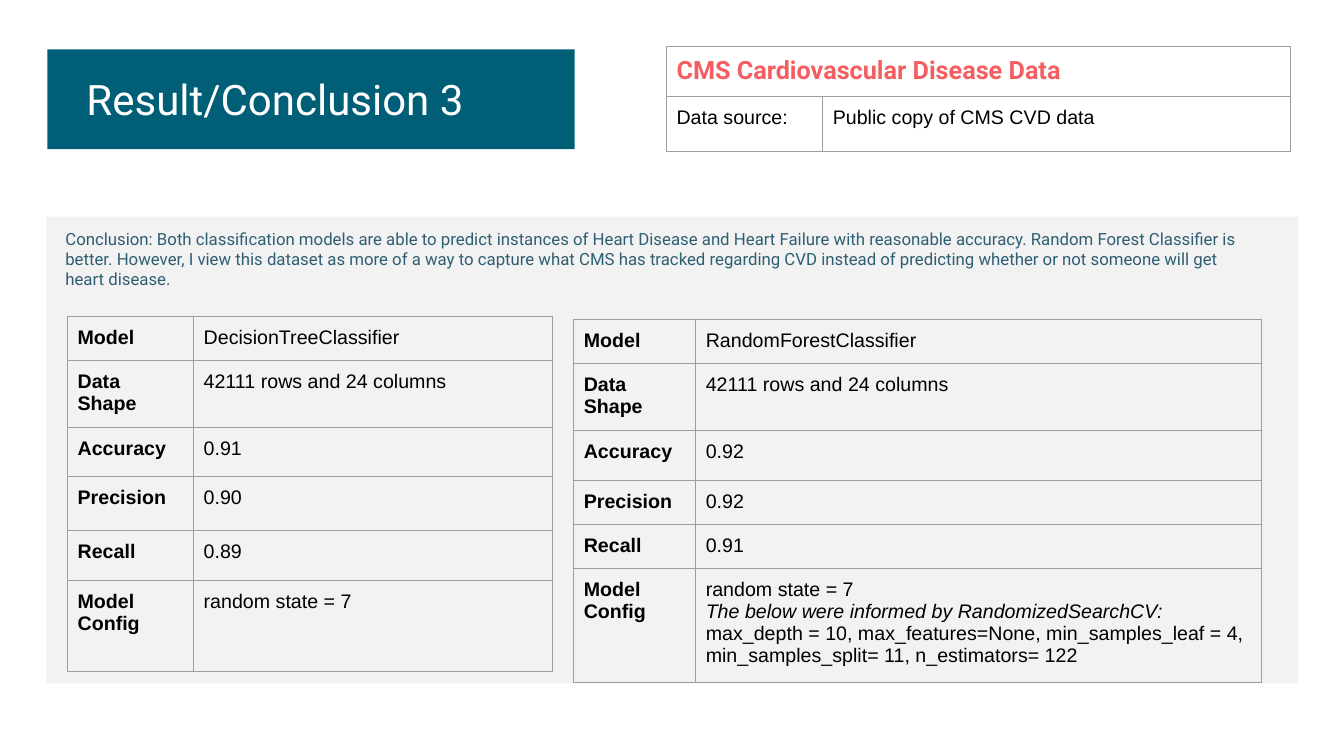
from dataclasses import dataclass

from lxml import etree
from pptx import Presentation
from pptx.dml.color import RGBColor
from pptx.enum.shapes import MSO_SHAPE
from pptx.enum.text import MSO_ANCHOR
from pptx.oxml.ns import qn
from pptx.util import Inches, Pt

RECT = MSO_SHAPE.RECTANGLE
TOP, MIDDLE = MSO_ANCHOR.TOP, MSO_ANCHOR.MIDDLE
COLORS = {
    "panel": "F2F2F2",
    "banner": "005E77",
    "white": "FFFFFF",
    "black": "000000",
    "coral": "F55E61",
    "slate": "2E5E73",
    "border": "9E9E9E",
}
PAD = Inches(0.1)
LINE = Pt(0.75)
LABELS = ["Model", "Data Shape", "Accuracy", "Precision", "Recall", "Model Config"]
SEARCH = "The below were informed by RandomizedSearchCV:"


@dataclass
class Style:
    size: float
    font: str
    color: str
    bold: bool = False


@dataclass
class Block:
    left: float
    top: float
    width: float
    height: float
    color: str


@dataclass
class Label:
    left: float
    top: float
    width: float
    height: float
    text: str
    style: Style
    anchor: MSO_ANCHOR = TOP


@dataclass
class Grid:
    left: float
    top: float
    cols: list[float]
    rows: list[float]
    cells: list[list[str]]
    styles: list[Style]
    title: Style | None = None


BODY = Style(14, "Arial", "black")
HEAD = Style(14, "Arial", "black", True)

BLOCKS = [
    Block(0.46, 2.15, 12.42, 4.63, "panel"),
    Block(0.47, 0.49, 5.23, 0.99, "banner"),
]
TEXTS = [
    Label(0.76, 0.87, 4.56, 0.22, "Result/Conclusion 3",
          Style(30, "Roboto", "white"), MIDDLE),
    Label(0.55, 2.17, 12.06, 0.81,
          "Conclusion: Both classification models are able to predict instances of "
          "Heart Disease and Heart Failure with reasonable accuracy. Random Forest "
          "Classifier is better. However, I view this dataset as more of a way to "
          "capture what CMS has tracked regarding CVD instead of predicting whether "
          "or not someone will get heart disease.",
          Style(12, "Roboto", "slate")),
]
TREE = ["DecisionTreeClassifier", "42111 rows and 24 columns",
        "0.91", "0.90", "0.89", "random state = 7"]
FOREST = ["RandomForestClassifier", "42111 rows and 24 columns",
          "0.92", "0.92", "0.91",
          f"random state = 7\n{SEARCH}\n"
          "max_depth = 10, max_features=None, min_samples_leaf = 4, "
          "min_samples_split= 11, n_estimators= 122"]
GRIDS = [
    Grid(0.67, 3.14, [1.25, 3.56], [0.42, 0.63, 0.49, 0.53, 0.5, 0.9],
         [list(pair) for pair in zip(LABELS, TREE)], [HEAD, BODY]),
    Grid(6.61, 0.46, [1.55, 4.64], [0.49, 0.54],
         [["CMS Cardiovascular Disease Data", ""],
          ["Data source:", "Public copy of CMS CVD data"]],
         [BODY, BODY], Style(18, "Roboto", "coral", True)),
    Grid(5.69, 3.17, [1.21, 5.61], [0.42, 0.63, 0.5, 0.43, 0.42, 1.11],
         [list(pair) for pair in zip(LABELS, FOREST)], [HEAD, BODY]),
]


def tint(name: str) -> RGBColor:
    return RGBColor.from_string(COLORS[name])


def write(frame, text: str, style: Style) -> None:
    frame.text = text
    for par in frame.paragraphs:
        for run in par.runs:
            font = run.font
            font.size, font.name = Pt(style.size), style.font
            font.bold, font.italic = style.bold, run.text == SEARCH
            font.color.rgb = tint(style.color)


def pad(box) -> None:
    """Give a cell or a text frame equal insets."""
    box.margin_left = box.margin_right = PAD
    box.margin_top = box.margin_bottom = PAD


def edge(cell) -> None:
    """Draw the four borders of a cell."""
    props = cell._tc.get_or_add_tcPr()
    for side in ("lnL", "lnR", "lnT", "lnB"):
        line = etree.SubElement(props, qn(f"a:{side}"), w=str(int(LINE)))
        fill = etree.SubElement(line, qn("a:solidFill"))
        etree.SubElement(fill, qn("a:srgbClr"), val=COLORS["border"])


def add_block(slide, block: Block) -> None:
    shape = slide.shapes.add_shape(
        RECT, Inches(block.left), Inches(block.top),
        Inches(block.width), Inches(block.height))
    shape.shadow.inherit = False
    shape.fill.solid()
    shape.fill.fore_color.rgb = tint(block.color)
    shape.line.fill.background()


def add_label(slide, label: Label) -> None:
    box = slide.shapes.add_textbox(
        Inches(label.left), Inches(label.top),
        Inches(label.width), Inches(label.height))
    frame = box.text_frame
    frame.word_wrap = True
    frame.vertical_anchor = label.anchor
    pad(frame)
    write(frame, label.text, label.style)


def add_grid(slide, grid: Grid) -> None:
    table = slide.shapes.add_table(
        len(grid.rows), len(grid.cols), Inches(grid.left), Inches(grid.top),
        Inches(sum(grid.cols)), Inches(sum(grid.rows))).table
    table.first_row = table.horz_banding = False
    for col, width in zip(table.columns, grid.cols):
        col.width = Inches(width)
    for row, height in zip(table.rows, grid.rows):
        row.height = Inches(height)
    for r, line in enumerate(grid.cells):
        for c, text in enumerate(line):
            cell = table.cell(r, c)
            pad(cell)
            edge(cell)
            cell.fill.background()
            style = grid.title if grid.title and r == 0 else grid.styles[c]
            write(cell.text_frame, text, style)
    if grid.title:
        table.cell(0, 0).merge(table.cell(0, len(grid.cols) - 1))


def main() -> None:
    deck = Presentation()
    deck.slide_width, deck.slide_height = Inches(13.33), Inches(7.5)
    slide = deck.slides.add_slide(deck.slide_layouts[6])
    for block in BLOCKS:
        add_block(slide, block)
    for label in TEXTS:
        add_label(slide, label)
    for grid in GRIDS:
        add_grid(slide, grid)
    deck.save("out.pptx")


if __name__ == "__main__":
    main()
